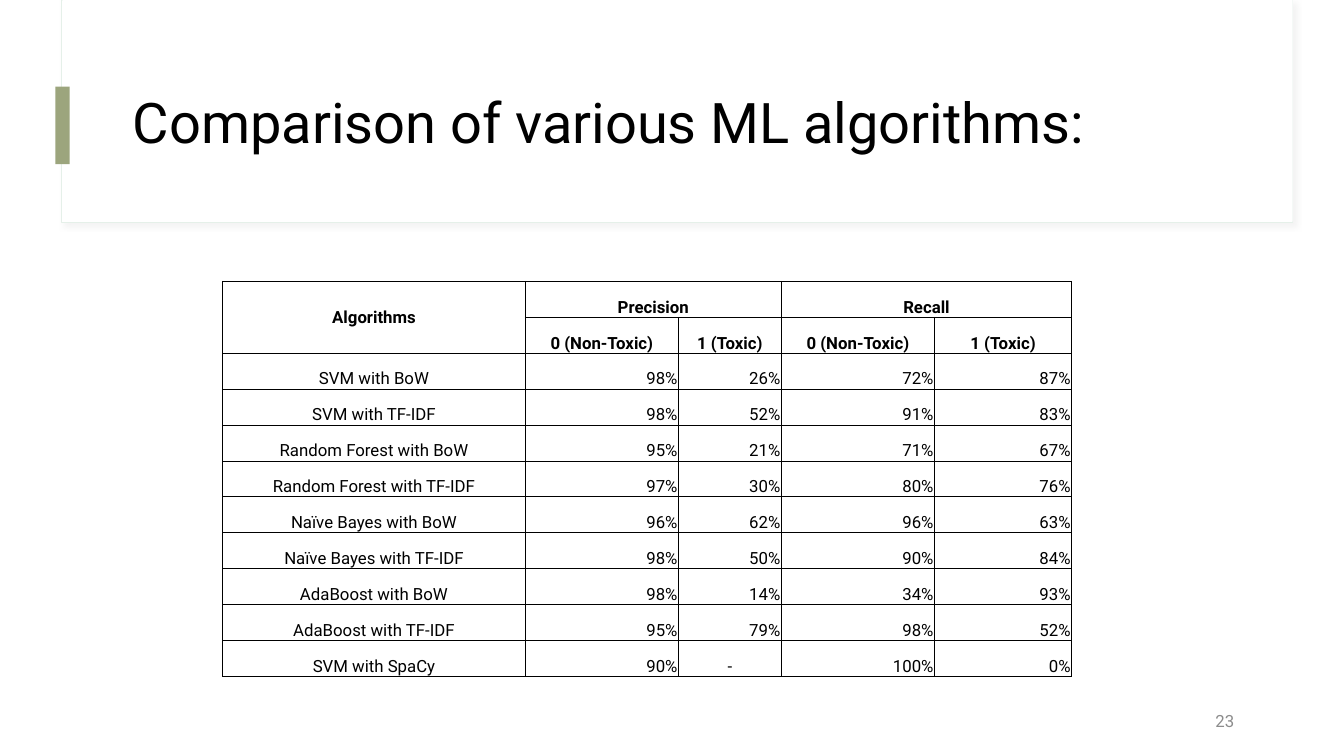
from lxml.etree import SubElement
from pptx import Presentation
from pptx.dml.color import RGBColor
from pptx.enum.shapes import MSO_SHAPE
from pptx.enum.text import MSO_ANCHOR, PP_ALIGN
from pptx.oxml import parse_xml
from pptx.oxml.ns import nsdecls, qn
from pptx.util import Inches, Pt

BLACK = RGBColor(0x00, 0x00, 0x00)
WHITE = RGBColor(0xFF, 0xFF, 0xFF)
GREEN = RGBColor(0x9C, 0xA5, 0x7D)
PALE_GREEN = RGBColor(0xE5, 0xF0, 0xE9)
GREY = RGBColor(0x8C, 0x8C, 0x8C)


def write(frame, text, size=12, color=BLACK, bold=False, align=PP_ALIGN.LEFT, spacing=1.0):
    para = frame.paragraphs[0]
    para.alignment = align
    para.line_spacing = spacing
    span = para.add_run()
    span.text = text
    span.font.name = "Roboto"
    span.font.size = Pt(size)
    span.font.bold = bold
    span.font.color.rgb = color


def add_border(cell):
    properties = cell._tc.get_or_add_tcPr()
    for side in ("a:lnL", "a:lnR", "a:lnT", "a:lnB"):
        line = SubElement(properties, qn(side), w=str(Pt(0.5)))
        fill = SubElement(line, qn("a:solidFill"))
        SubElement(fill, qn("a:srgbClr"), val=str(BLACK))


deck = Presentation()
deck.slide_width = Inches(13.33)
deck.slide_height = Inches(7.5)
page = deck.slides.add_slide(deck.slide_layouts[6])

# Title panel and accent bar
panels = []
for left, top, width, height, color in (
    (0.61, 0, 12.21, 2.21, WHITE),
    (0.62, 0, 12.2, 2.2, WHITE),
    (0.55, 0.86, 0.14, 0.77, GREEN),
):
    panel = page.shapes.add_shape(
        MSO_SHAPE.RECTANGLE, Inches(left), Inches(top), Inches(width), Inches(height))
    panel.shadow.inherit = False
    panel.fill.solid()
    panel.fill.fore_color.rgb = color
    panel.line.fill.background()
    panels.append(panel)

# Outline and soft shadow of the back panel
back = panels[0]
back.line.color.rgb = PALE_GREEN
back.line.width = Pt(0.75)
effects = back._element.spPr.find(qn("a:effectLst"))
effects.append(parse_xml(
    f'<a:outerShdw {nsdecls("a")} blurRad="{Pt(4)}" dist="{Pt(3)}" dir="2700000" '
    'algn="tl" rotWithShape="0"><a:srgbClr val="D9D9D9"><a:alpha val="30000"/>'
    '</a:srgbClr></a:outerShdw>'))

# Title and page number
for text, left, top, width, height, style in (
    ("Comparison of various ML algorithms:", 1.22, 0.6, 11.12, 1.29,
     dict(size=40, spacing=0.9)),
    ("23", 9.34, 6.95, 3, 0.4, dict(color=GREY, align=PP_ALIGN.RIGHT)),
):
    box = page.shapes.add_textbox(Inches(left), Inches(top), Inches(width), Inches(height))
    box.text_frame.word_wrap = True
    box.text_frame.vertical_anchor = MSO_ANCHOR.MIDDLE
    write(box.text_frame, text, **style)

# Results table
rows = [
    ("Algorithms", "Precision", "", "Recall", ""),
    ("", "0 (Non-Toxic)", "1 (Toxic)", "0 (Non-Toxic)", "1 (Toxic)"),
    ("SVM with BoW", "98%", "26%", "72%", "87%"),
    ("SVM with TF-IDF", "98%", "52%", "91%", "83%"),
    ("Random Forest with BoW", "95%", "21%", "71%", "67%"),
    ("Random Forest with TF-IDF", "97%", "30%", "80%", "76%"),
    ("Naïve Bayes with BoW", "96%", "62%", "96%", "63%"),
    ("Naïve Bayes with TF-IDF", "98%", "50%", "90%", "84%"),
    ("AdaBoost with BoW", "98%", "14%", "34%", "93%"),
    ("AdaBoost with TF-IDF", "95%", "79%", "98%", "52%"),
    ("SVM with SpaCy", "90%", "-", "100%", "0%"),
]
widths = (3, 1.52, 1.02, 1.52, 1.36)
table = page.shapes.add_table(
    len(rows), len(widths), Inches(2.21), Inches(2.79), Inches(8.42), Inches(3.92)).table
table.first_row = False
table.horz_banding = False
for column, width in zip(table.columns, widths):
    column.width = Inches(width)

for row_number, row in enumerate(rows):
    for column_number, text in enumerate(row):
        cell = table.cell(row_number, column_number)
        add_border(cell)
        cell.fill.background()
        cell.margin_left = cell.margin_right = cell.margin_top = Inches(0.01)
        cell.margin_bottom = 0
        cell.vertical_anchor = MSO_ANCHOR.BOTTOM
        if text:
            align = PP_ALIGN.RIGHT if text.endswith("%") else PP_ALIGN.CENTER
            write(cell.text_frame, text, bold=row_number < 2, align=align)

# Merged headings
table.cell(0, 0).merge(table.cell(1, 0))
table.cell(0, 0).vertical_anchor = MSO_ANCHOR.MIDDLE
for first in (1, 3):
    table.cell(0, first).merge(table.cell(0, first + 1))

deck.save("out.pptx")
